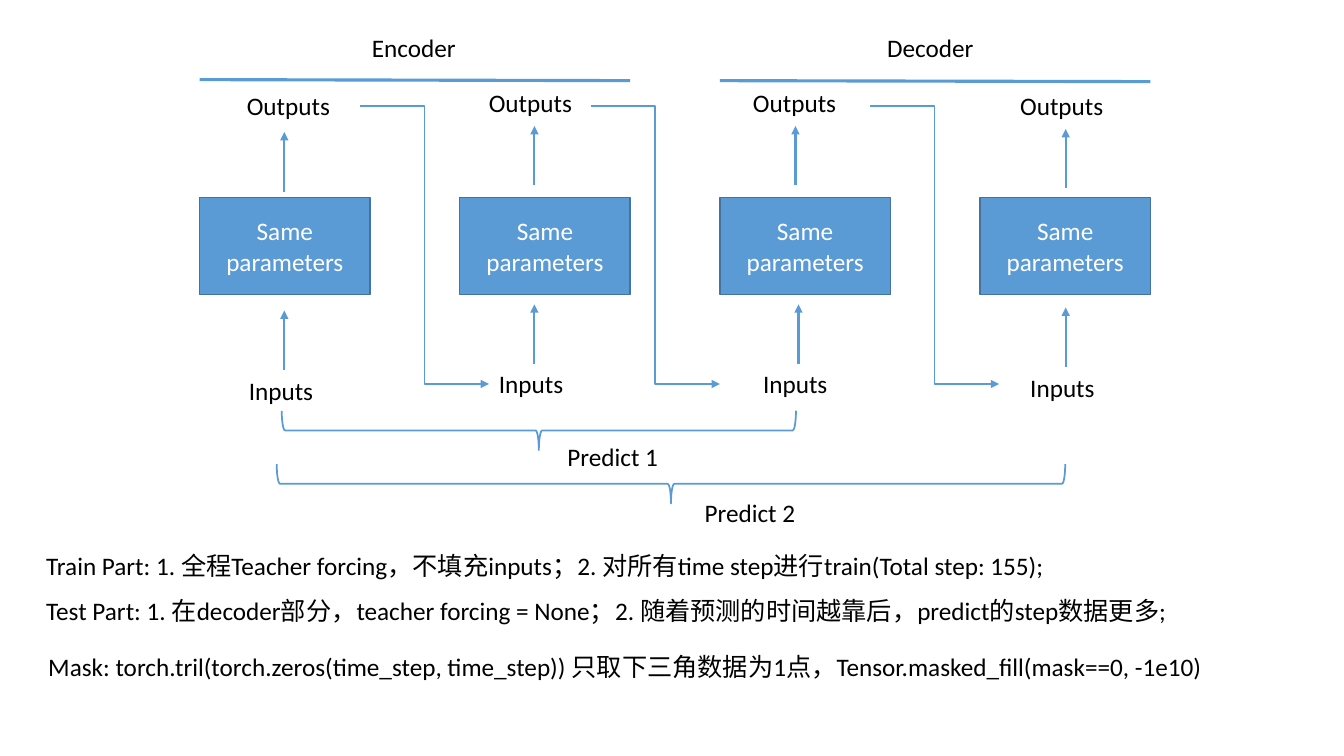
from dataclasses import dataclass

from lxml.etree import SubElement
from pptx import Presentation
from pptx.dml.color import RGBColor
from pptx.enum.shapes import MSO_CONNECTOR, MSO_SHAPE
from pptx.enum.text import MSO_ANCHOR, MSO_AUTO_SIZE, PP_ALIGN
from pptx.oxml.ns import qn
from pptx.util import Inches, Pt


@dataclass(frozen=True)
class Theme:
    font: str = "Calibri"
    size: float = 18
    text: str = "000000"
    inverse: str = "FFFFFF"
    accent: str = "5B9BD5"
    border: str = "43739E"
    border_width: float = 1
    thin: float = 1.25
    arrow: float = 1.5
    rule: float = 2.25


@dataclass(frozen=True)
class Step:
    output_column: float
    input_column: float
    output_arrow: float
    input_arrow: float
    output_drop: float
    input_drop: float


def apply_format(target, values):
    for name, value in values.items():
        setattr(target, name, value)


class SlideBuilder:
    CELL = 0.1

    def __init__(self, slide, theme):
        self.slide = slide
        self.theme = theme

    def place(self, *cells):
        return [Inches(cell * self.CELL) for cell in cells]

    def outline(self, shape, color, width):
        shape.line.color.rgb = RGBColor.from_string(color)
        shape.line.width = Pt(width)

    def set_text(self, shape, lines, color, paragraph_format):
        frame = shape.text_frame
        frame.text = "\n".join(lines)
        frame.word_wrap = True
        for paragraph in frame.paragraphs:
            apply_format(paragraph, paragraph_format)
            for run in paragraph.runs:
                apply_format(run.font, {"name": self.theme.font, "size": Pt(self.theme.size)})
                run.font.color.rgb = RGBColor.from_string(color)

    def text(self, left, top, width, height, *lines, spacing=1.0):
        shape = self.slide.shapes.add_textbox(*self.place(left, top, width, height))
        self.set_text(shape, lines, self.theme.text, {"line_spacing": spacing})
        shape.text_frame.auto_size = MSO_AUTO_SIZE.SHAPE_TO_FIT_TEXT

    def label(self, left, top, words):
        self.text(left, top, 14.4, 4, words)

    def box(self, left, top, width, height, words):
        shape = self.slide.shapes.add_shape(
            MSO_SHAPE.RECTANGLE, *self.place(left, top, width, height))
        shape.shadow.inherit = False
        shape.fill.solid()
        shape.fill.fore_color.rgb = RGBColor.from_string(self.theme.accent)
        self.outline(shape, self.theme.border, self.theme.border_width)
        self.set_text(shape, [words], self.theme.inverse, {"alignment": PP_ALIGN.CENTER})
        shape.text_frame.vertical_anchor = MSO_ANCHOR.MIDDLE

    def line(self, start, end, width, kind=MSO_CONNECTOR.STRAIGHT, arrow=False):
        connector = self.slide.shapes.add_connector(kind, *self.place(*start, *end))
        self.outline(connector, self.theme.accent, width)
        properties = connector._element.spPr
        if arrow:
            SubElement(properties.find(qn("a:ln")), qn("a:tailEnd"), type="triangle")
        SubElement(properties, qn("a:effectLst"))

    def arrow_up(self, column, bottom):
        self.line((column, bottom), (column, bottom - 5.9), self.theme.arrow, arrow=True)

    def elbow(self, column):
        self.line((column, 10.5), (column + 12.8, 38.1), self.theme.thin,
                  MSO_CONNECTOR.ELBOW, arrow=True)

    def brace_below(self, left, top, span, depth=3.9):
        shape = self.slide.shapes.add_shape(MSO_SHAPE.LEFT_BRACE, *self.place(
            left + (span - depth) / 2, top + (depth - span) / 2, depth, span))
        shape.rotation = 270
        shape.shadow.inherit = False
        shape.fill.background()
        self.outline(shape, self.theme.accent, self.theme.thin)


presentation = Presentation()
apply_format(presentation, {"slide_width": Inches(13.33), "slide_height": Inches(7.5)})
slide = presentation.slides.add_slide(presentation.slide_layouts[6])
theme = Theme()
builder = SlideBuilder(slide, theme)

FIRST_BOX, BOX_PITCH, BOX_WIDTH = 19.8, 25.8, 16.9
STEPS = [
    Step(23.5, 23.7, 28.2, 28.2, 0.3, 0.6),
    Step(47.5, 48.5, 53, 53, 0, 0),
    Step(73.7, 74.7, 78.9, 79.2, 0, 0),
    Step(100.2, 101.2, 105.7, 105.7, 0.3, 0.3),
]

for index, step in enumerate(STEPS):
    builder.box(FIRST_BOX + index * BOX_PITCH, 19.6, BOX_WIDTH, 9.6, "Same parameters")
    builder.label(step.output_column, 8.2 + step.output_drop, "Outputs")
    builder.label(step.input_column, 36.1 + step.input_drop, "Inputs")
    builder.arrow_up(step.output_arrow, 18.4 + step.input_drop)
    builder.arrow_up(step.input_arrow, 36.1 + step.input_drop)

for index, (name, column, row) in enumerate([("Encoder", 35.9, 7.9), ("Decoder", 87, 8)]):
    left = FIRST_BOX + index * 2 * BOX_PITCH
    builder.label(column, 2.7, name)
    builder.line((left, row), (left + BOX_PITCH + BOX_WIDTH, row + 0.1), theme.rule)

for column in (35.7, 58.6, 86.3):
    builder.elbow(column)

for name, column, row, brace_left, brace_top, span in [
    ("Predict 1", 55.3, 43.3, 27.95, 40.75, 51),
    ("Predict 2", 68.9, 48.8, 27.45, 46.05, 78.2),
]:
    builder.brace_below(brace_left, brace_top, span)
    builder.label(column, row, name)

builder.text(
    3.6, 52.6, 124.5, 9.6,
    "Train Part: 1. 全程Teacher forcing\uff0c不填充inputs\uff1b2. 对所有time step进行train(Total step: 155);",
    "Test Part: 1. 在decoder部分\uff0cteacher forcing = None\uff1b2. 随着预测的时间越靠后\uff0cpredict的step数据更多;",
    spacing=1.5)
builder.text(
    3.8, 62.6, 124.5, 5.6,
    "Mask: torch.tril(torch.zeros(time_step, time_step)) 只取下三角数据为1点\uff0cTensor.masked_fill(mask==0, -1e10)",
    spacing=1.5)

presentation.save("out.pptx")
